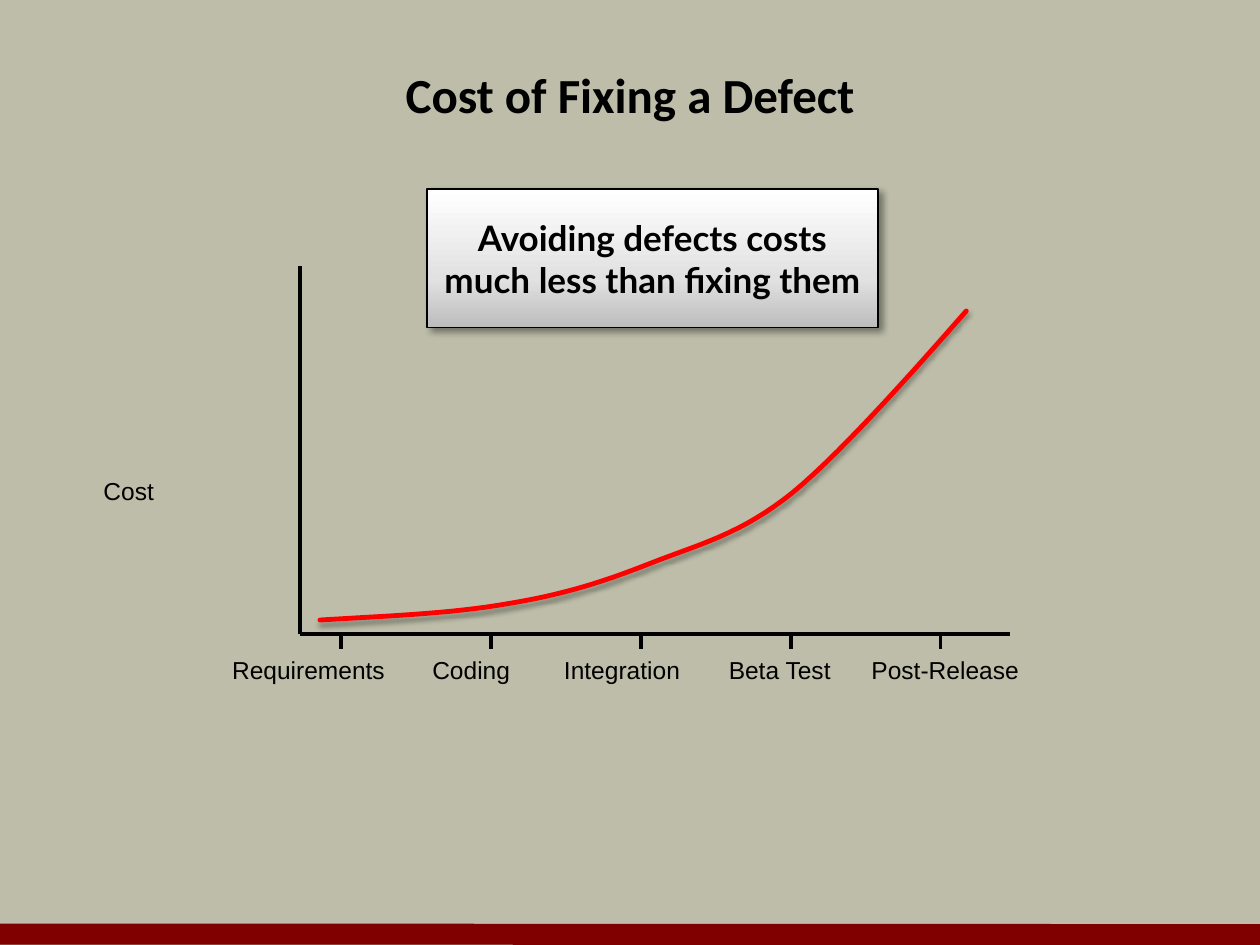
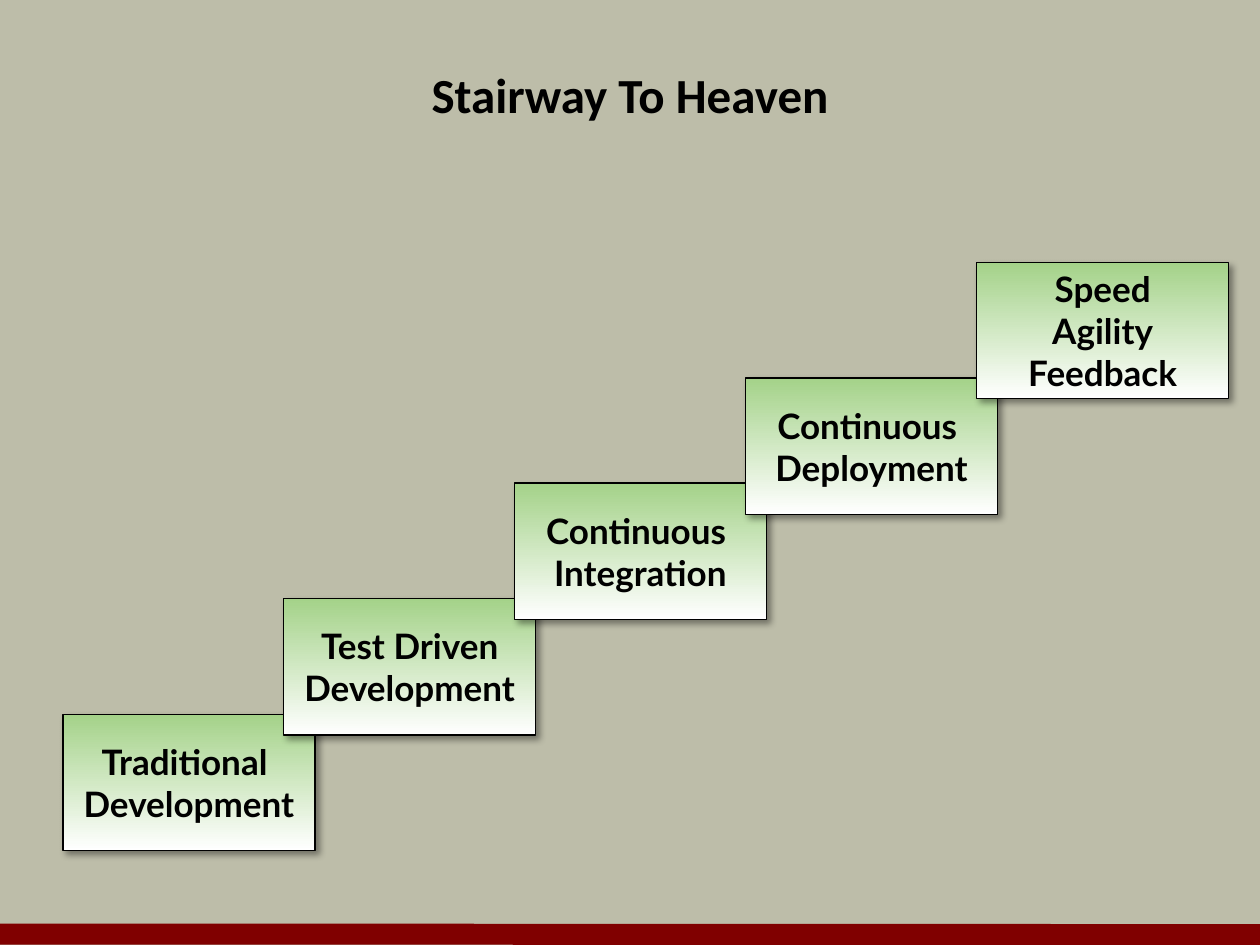
import pptx
import pptx.dml.color
import pptx.enum.shapes
import pptx.enum.text
import pptx.oxml.ns
import pptx.util
import copy
import lxml.etree

Cm = pptx.util.Cm
Pt = pptx.util.Pt
qn = pptx.oxml.ns.qn

BACKGROUND, BAND, BLACK, RED = "BDBDA9", "800000", "000000", "FF0000"
GREY_FADE = [(0, "BDBDBD"), (0.35, "E1E1E1"), (1, "FFFFFF")]
GREEN_FADE = [(0, "A4D289"), (1, "FFFFFF")]
BOX_SHADOW = (40, 4, 3, 45)
CURVE_SHADOW = (35, 3.1, 2, 90)

COST_TITLE = "Cost of Fixing a Defect"
CALLOUT = ["Avoiding defects costs", "much less than fixing them"]
PHASES = [
    ("Requirements", 4.24, 3.96),
    ("Coding", 8.38, 2.24),
    ("Integration", 10.9, 3.28),
    ("Beta Test", 14.3, 2.84),
    ("Post-Release", 17.2, 3.71),
]
AXIS_LEFT, AXIS_RIGHT, AXIS_TOP, AXIS_BOTTOM = 6.05, 20.37, 5.36, 12.78
TICK_START, TICK_STEP, TICK_LENGTH = 6.88, 3.02, 0.3
COST_CURVE = [
    (6.45, 12.5), (7.77, 12.42), (9.12, 12.37), (10.24, 12.17),
    (11.35, 11.99), (12.17, 11.73), (13.13, 11.35),
    (14.1, 10.97), (14.94, 10.77), (15.98, 9.93),
    (17.04, 9.07), (18.9, 6.93), (19.48, 6.27),
]

STAIRS_TITLE = "Stairway To Heaven"
STEP_SIZE = (5.08, 2.75)
STEPS = [
    (["Traditional ", "Development"], 1.27, 14.4),
    (["Test Driven", "Development"], 5.72, 12.07),
    (["Continuous ", "Integration"], 10.37, 9.74),
    (["Continuous ", "Deployment"], 15.03, 7.62),
    (["Speed", "Agility", "Feedback"], 19.69, 5.29),
]


def rgb(color):
    return pptx.dml.color.RGBColor.from_string(color)


def set_line(sp, color, width):
    sp.line.color.rgb = rgb(color)
    sp.line.width = Pt(width)


def write(sp, lines, font, size, bold=False, wrap=False):
    tf = sp.text_frame
    tf.word_wrap = wrap
    tf.vertical_anchor = pptx.enum.text.MSO_ANCHOR.MIDDLE
    for i, line in enumerate(lines):
        p = tf.add_paragraph() if i else tf.paragraphs[0]
        p.alignment = pptx.enum.text.PP_ALIGN.CENTER
        r = p.add_run()
        r.text = line
        r.font.name = font
        r.font.size = Pt(size)
        r.font.bold = bold
        r.font.color.rgb = rgb(BLACK)


def add_text(slide, text, left, top, width, height, font="Arial", size=14, **style):
    sp = slide.shapes.add_textbox(Cm(left), Cm(top), Cm(width), Cm(height))
    write(sp, [text], font, size, **style)


def add_line(slide, x1, y1, x2, y2, color=BLACK, width=2.25):
    sp = slide.shapes.add_connector(
        pptx.enum.shapes.MSO_CONNECTOR.STRAIGHT, Cm(x1), Cm(y1), Cm(x2), Cm(y2))
    set_line(sp, color, width)
    lxml.etree.SubElement(sp.element.spPr, qn("a:effectLst"))


def add_shadow(sp, opacity, blur, distance, angle):
    sp.shadow.inherit = False
    effects = sp.element.spPr.find(qn("a:effectLst"))
    shadow = lxml.etree.SubElement(
        effects, qn("a:outerShdw"), blurRad=str(Pt(blur)), dist=str(Pt(distance)),
        dir=str(angle * 60000), algn="ctr", rotWithShape="0")
    color = lxml.etree.SubElement(shadow, qn("a:srgbClr"), val=BLACK)
    lxml.etree.SubElement(color, qn("a:alpha"), val=str(opacity * 1000))


def fill_gradient(sp, stops, angle):
    sp.fill.gradient()
    sp.fill.gradient_angle = angle
    gs_list = sp.element.spPr.find(qn("a:gradFill")).find(qn("a:gsLst"))
    while len(gs_list) < len(stops):
        gs_list.append(copy.deepcopy(gs_list[-1]))
    for stop, (position, color) in zip(sp.fill.gradient_stops, stops):
        stop.position = position
        stop.color.rgb = rgb(color)


def add_box(slide, lines, left, top, width, height, stops, angle):
    sp = slide.shapes.add_shape(
        pptx.enum.shapes.MSO_SHAPE.RECTANGLE, Cm(left), Cm(top), Cm(width), Cm(height))
    fill_gradient(sp, stops, angle)
    set_line(sp, BLACK, 0.75)
    add_shadow(sp, *BOX_SHADOW)
    write(sp, lines, "Lato", 20, bold=True)


def bezier(a, b, c, d, t):
    u = 1 - t
    return tuple(
        Cm(u**3 * a[i] + 3 * u * u * t * b[i] + 3 * u * t * t * c[i] + t**3 * d[i])
        for i in (0, 1))


def add_curve(slide, controls, samples=16):
    points = [
        bezier(*controls[k:k + 4], n / samples)
        for k in range(0, len(controls) - 1, 3)
        for n in range(1, samples + 1)]
    x, y = controls[0]
    builder = slide.shapes.build_freeform(Cm(x), Cm(y))
    builder.add_line_segments(points, close=False)
    sp = builder.convert_to_shape()
    sp.fill.background()
    set_line(sp, RED, 2.75)
    sp.element.spPr.find(qn("a:ln")).set("cap", "rnd")
    add_shadow(sp, *CURVE_SHADOW)


def new_slide(prs, title):
    slide = prs.slides.add_slide(prs.slide_layouts[6])
    slide.background.fill.solid()
    slide.background.fill.fore_color.rgb = rgb(BACKGROUND)
    add_line(slide, 0, 18.83, 25.4, 18.84, BAND, 12)
    add_text(slide, title, 1.27, 0.84, 22.86, 2.11, "Calibri", 28, bold=True, wrap=True)
    return slide


def build_cost_slide(prs):
    slide = new_slide(prs, COST_TITLE)
    add_line(slide, AXIS_LEFT, AXIS_BOTTOM, AXIS_RIGHT, AXIS_BOTTOM)
    add_line(slide, AXIS_LEFT, AXIS_BOTTOM, AXIS_LEFT, AXIS_TOP)
    label_top = AXIS_BOTTOM + TICK_LENGTH
    for i, (phase, left, width) in enumerate(PHASES):
        x = TICK_START + i * TICK_STEP
        add_line(slide, x, AXIS_BOTTOM, x, label_top)
        add_text(slide, phase, left, label_top, width, 0.85)
    add_text(slide, "Cost", 1.78, 9.47, 1.63, 0.85)
    add_curve(slide, COST_CURVE)
    add_box(slide, CALLOUT, 8.61, 3.81, 9.09, 2.79, GREY_FADE, 90)


def build_stairs_slide(prs):
    slide = new_slide(prs, STAIRS_TITLE)
    for lines, left, top in STEPS:
        add_box(slide, lines, left, top, *STEP_SIZE, GREEN_FADE, 270)


def main():
    prs = pptx.Presentation()
    prs.slide_width, prs.slide_height = Cm(25.4), Cm(19.05)
    build_cost_slide(prs)
    build_stairs_slide(prs)
    prs.save("out.pptx")


if __name__ == "__main__":
    main()
